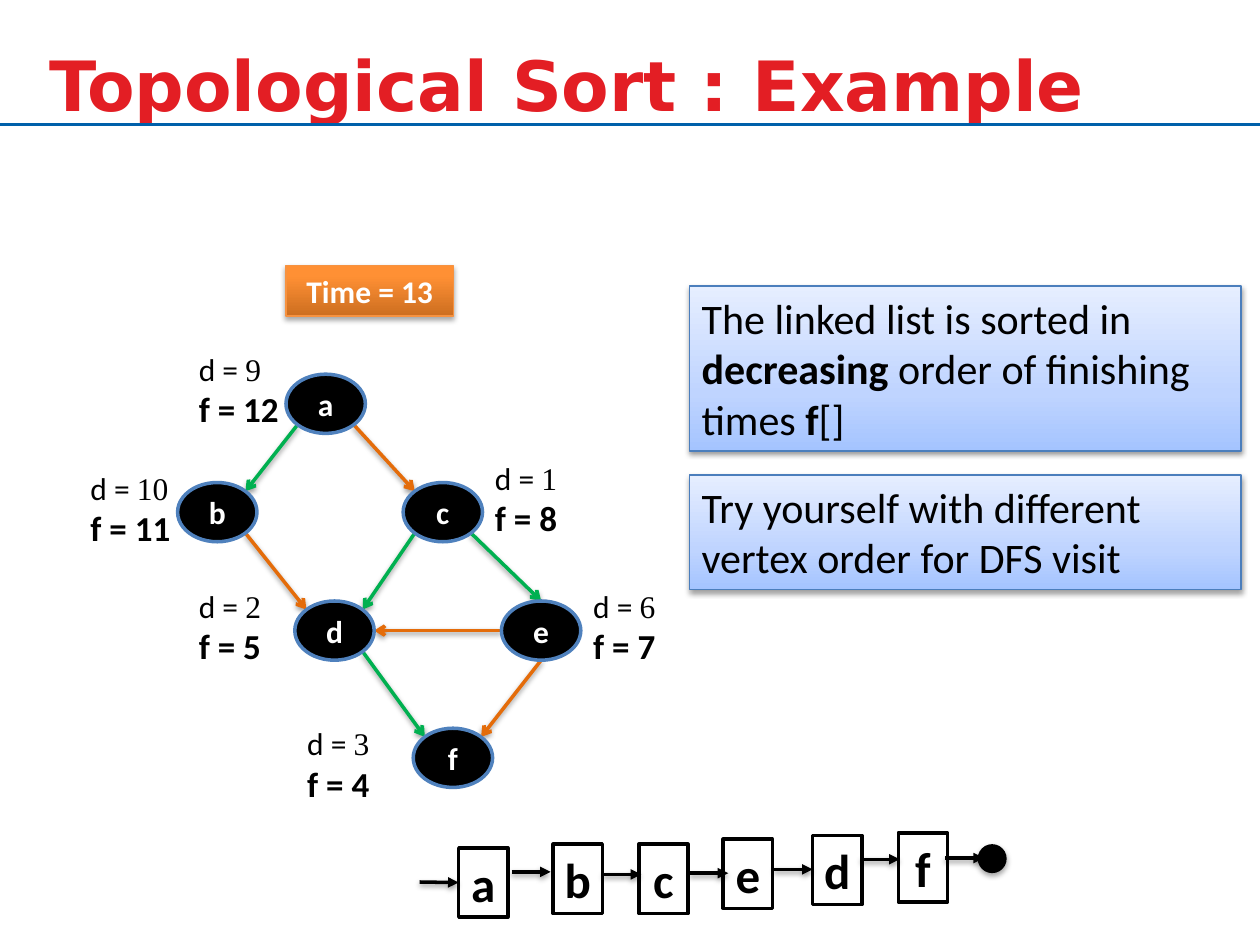
from lxml import etree
from pptx import Presentation
from pptx.dml.color import RGBColor
from pptx.enum.shapes import MSO_CONNECTOR, MSO_SHAPE
from pptx.enum.text import MSO_ANCHOR, PP_ALIGN
from pptx.oxml.ns import qn
from pptx.util import Inches, Pt

RECT, OVAL = MSO_SHAPE.RECTANGLE, MSO_SHAPE.OVAL
TOP, MID = MSO_ANCHOR.TOP, MSO_ANCHOR.MIDDLE
LEFT, CENTER = PP_ALIGN.LEFT, PP_ALIGN.CENTER
GREEN, ORANGE, BLACK, WHITE = "00B050", "E46C0A", "000000", "FFFFFF"
BLUES = [(0, "A4C4FF"), (35, "BFD4FF"), (100, "E6EEFF")]
FLAME = [(0, "CC6E20"), (80, "FF9034"), (100, "FF9136")]
SOFT, DEEP = (38, 3.1, 1.6), (35, 3.1, 1.8)  # alpha %, blur pt, distance pt
NODE_W, NODE_H = 0.63, 0.47
BOX_W, BOX_H, HOP = 0.39, 0.55, 0.31

# name: (left, top), label (left, top), d, f
NODES = {
    "a": ((2.27, 2.97), (1.48, 2.73), 9, 12),
    "b": ((1.41, 3.83), (0.62, 3.67), 10, 11),
    "c": ((3.2, 3.83), (3.83, 3.59), 1, 8),
    "d": ((2.34, 4.77), (1.48, 4.61), 2, 5),
    "e": ((3.98, 4.77), (4.61, 4.61), 6, 7),
    "f": ((3.28, 5.78), (2.34, 5.7), 3, 4),
}
# Unit directions from a node's centre to its rim
DIAG = 0.71
RIM = {"N": (0, -1), "S": (0, 1), "W": (-1, 0), "E": (1, 0),
       "NW": (-DIAG, -DIAG), "NE": (DIAG, -DIAG),
       "SW": (-DIAG, DIAG), "SE": (DIAG, DIAG)}
EDGES = [
    ("a", "SW", "b", "NE", GREEN), ("a", "SE", "c", "NW", ORANGE),
    ("e", "W", "d", "E", ORANGE), ("c", "SE", "e", "N", GREEN),
    ("b", "SE", "d", "NW", ORANGE), ("c", "SW", "d", "NE", GREEN),
    ("d", "SE", "f", "NW", GREEN), ("e", "S", "f", "NE", ORANGE),
]
# name, box (left, top), start of the arrow that leaves it
CHAIN = [
    ("a", (3.64, 6.73), (4.06, 6.92)), ("b", (4.39, 6.7), (4.78, 6.94)),
    ("c", (5.07, 6.7), (5.47, 6.93)), ("e", (5.74, 6.66), (6.14, 6.9)),
    ("d", (6.45, 6.63), (6.83, 6.82)), ("f", (7.13, 6.61), (7.5, 6.81)),
]
NOTES = [
    (2.27, 1.31, [("The linked list is sorted in ", {}), ("decreasing", {"bold": True}),
                  (" order of finishing times ", {}), ("f", {"bold": True}), ("[]", {})]),
    (3.77, 0.91, [("Try yourself with different vertex order for DFS visit", {})]),
]

prs = Presentation()
prs.slide_width, prs.slide_height = Inches(10), Inches(7.5)
slide = prs.slides.add_slide(prs.slide_layouts[6])


def rgb(color):
    return RGBColor.from_string(color)


def write(shape, paras, size=18, color=BLACK, font="Calibri", bold=False,
          align=CENTER, anchor=MID, inset=None):
    """Fill a shape with paragraphs, each a list of (text, format changes)."""
    frame = shape.text_frame
    frame.word_wrap, frame.vertical_anchor = True, anchor
    if inset is not None:
        frame.margin_left = frame.margin_right = Inches(inset)
    for i, runs in enumerate(paras):
        para = frame.add_paragraph() if i else frame.paragraphs[0]
        para.alignment = align
        for text, diff in runs:
            run = para.add_run()
            run.text = text
            run.font.size = Pt(diff.get("size", size))
            run.font.name = diff.get("font", font)
            run.font.bold = diff.get("bold", bold)
            run.font.color.rgb = rgb(color)


def shade(shape, shadow):
    """Replace the theme's shadow; call it once the line is set."""
    fx = etree.SubElement(shape._element.spPr, qn("a:effectLst"))
    if shadow:
        alpha, blur, dist = shadow
        outer = etree.SubElement(fx, qn("a:outerShdw"), blurRad=str(Pt(blur)),
                                 dist=str(Pt(dist)), dir="5400000", rotWithShape="0")
        tint = etree.SubElement(outer, qn("a:srgbClr"), val=BLACK)
        etree.SubElement(tint, qn("a:alpha"), val=str(alpha * 1000))


def blend(fill, stops):
    fill.gradient()
    fill.gradient_angle = 90
    group = fill._xPr.find(qn("a:gradFill")).find(qn("a:gsLst"))
    for old in list(group):
        group.remove(old)
    for pos, color in stops:
        stop = etree.SubElement(group, qn("a:gs"), pos=str(pos * 1000))
        etree.SubElement(stop, qn("a:srgbClr"), val=color)


def draw(kind, x, y, w, h, fill, line=None, width=2, shadow=None):
    shape = slide.shapes.add_shape(kind, Inches(x), Inches(y), Inches(w), Inches(h))
    if isinstance(fill, list):
        blend(shape.fill, fill)
    else:
        shape.fill.solid()
        shape.fill.fore_color.rgb = rgb(fill)
    if line:
        shape.line.color.rgb = rgb(line)
        shape.line.width = Pt(width)
    else:
        shape.line.fill.background()
    shade(shape, shadow)
    return shape


def link(start, end, color, head=None, shadow=SOFT):
    line = slide.shapes.add_connector(MSO_CONNECTOR.STRAIGHT,
                                      *(Inches(v) for v in (*start, *end)))
    line.line.color.rgb = rgb(color)
    line.line.width = Pt(2)
    if head:
        etree.SubElement(line.line._get_or_add_ln(), qn("a:tailEnd"), type=head)
    shade(line, shadow)
    return line


def text_box(x, y, w, h):
    return slide.shapes.add_textbox(Inches(x), Inches(y), Inches(w), Inches(h))


def rim(name, side):
    """Point on a node's outline."""
    (x, y), (dx, dy) = NODES[name][0], RIM[side]
    return x + NODE_W / 2 * (1 + dx), y + NODE_H / 2 * (1 + dy)


write(text_box(0, 0.04, 9, 1.25), [[("Topological Sort : Example", {})]],
      size=39.6, color="E31E24", font="DejaVu Sans", bold=True)
link((0, 0.99), (10, 0.99), "0060AA", shadow=None)

for tail, out, tip, into, color in EDGES:
    link(rim(tail, out), rim(tip, into), color, "arrow")
for name, (x, y), spot, d, f in ((n, *v) for n, v in NODES.items()):
    write(draw(OVAL, x, y, NODE_W, NODE_H, BLACK, "4F81BD"),
          [[(name, {})]], color=WHITE, bold=True)
    write(text_box(*spot, 0.94, 0.74),
          [[("d = ", {}), (str(d), {"font": "Times New Roman"})],
           [(f"f = {f}", {"size": 20, "bold": True})]], align=LEFT, anchor=TOP)

write(draw(RECT, 2.27, 2.11, 1.33, 0.4, FLAME, "F69240", 0.75, DEEP),
      [[("Time = 13", {})]], color=WHITE, bold=True, anchor=TOP)

boxes = []
for name, (x, y), _ in CHAIN:
    box = draw(RECT, x, y, BOX_W, BOX_H, WHITE, BLACK)
    write(box, [[(name, {})]], size=28, bold=True, inset=0)
    boxes.append(box)
for _, _, (x, y) in CHAIN:
    link((x, y), (x + HOP, y), BLACK, "triangle")
link((3.33, 7), (3.64, 7), BLACK, "triangle").end_connect(boxes[0], 1)
draw(OVAL, 7.76, 6.7, 0.23, 0.23, BLACK, shadow=DEEP)

for y, h, runs in NOTES:
    write(draw(RECT, 5.47, y, 4.38, h, BLUES, "4B7EBC", 0.75, SOFT),
          [runs], size=24, align=LEFT, anchor=TOP)

prs.save("out.pptx")
